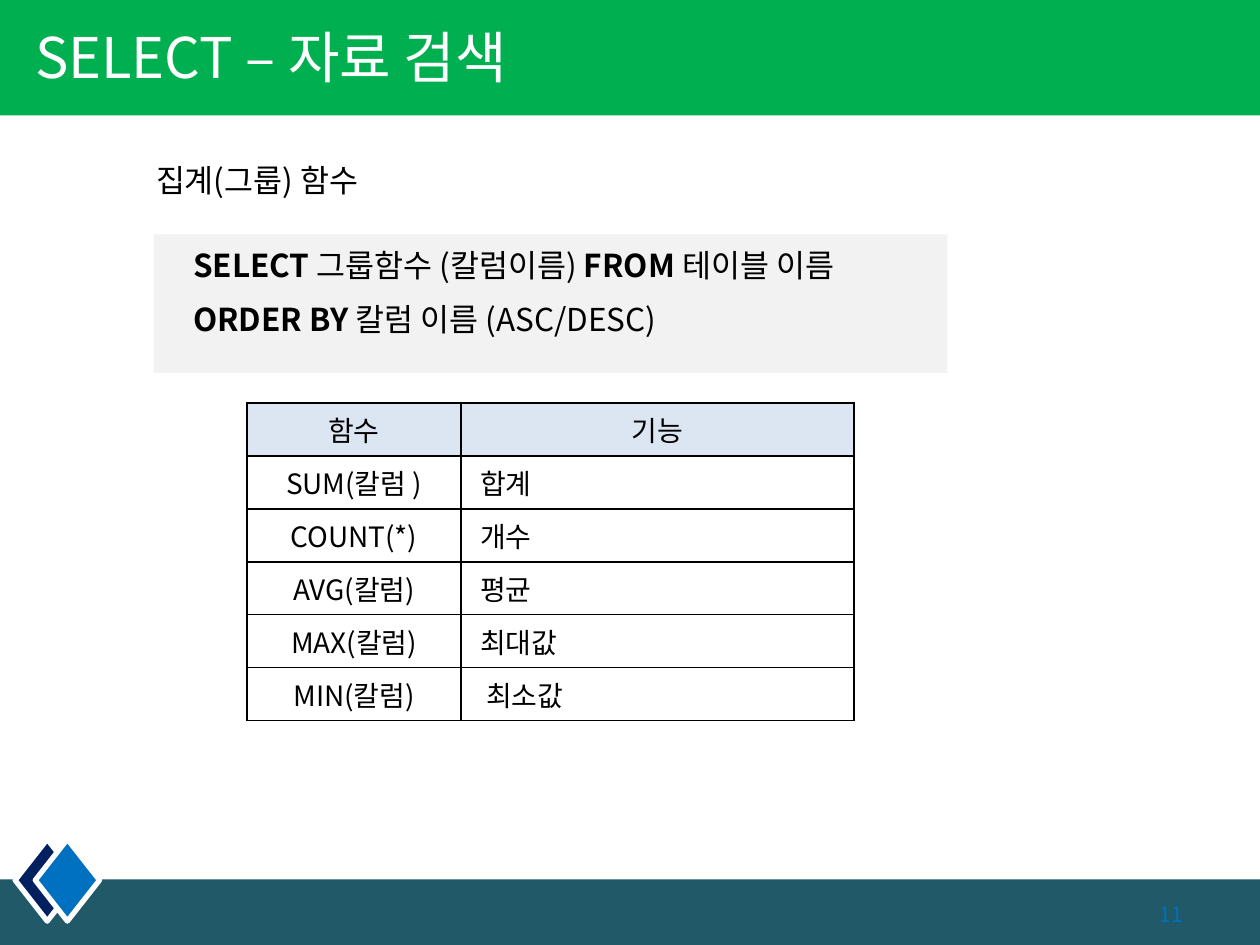
from lxml import etree
from pptx import Presentation
from pptx.dml.color import RGBColor
from pptx.enum.shapes import MSO_SHAPE
from pptx.enum.text import MSO_ANCHOR, PP_ALIGN
from pptx.oxml.ns import qn
from pptx.util import Pt

RECT, DIAMOND = MSO_SHAPE.RECTANGLE, MSO_SHAPE.DIAMOND
TOP, MIDDLE = MSO_ANCHOR.TOP, MSO_ANCHOR.MIDDLE
LEFT, CENTER, RIGHT = PP_ALIGN.LEFT, PP_ALIGN.CENTER, PP_ALIGN.RIGHT
FONT = "Noto Sans CJK KR"
BLACK, WHITE, BLUE = "000000", "FFFFFF", "0070C0"

QUERY = [
    [("SELECT ", True), ("그룹함수 (칼럼이름) ", False),
     ("FROM ", True), ("테이블 이름", False)],
    [("ORDER BY ", True), ("칼럼 이름 (ASC/DESC)", False)],
]
FUNCTIONS = [
    ("함수", "기능"),
    ("SUM(칼럼 )", "합계"),
    ("COUNT(*)", "개수"),
    ("AVG(칼럼)", "평균"),
    ("MAX(칼럼)", "최대값"),
    ("MIN(칼럼)", "최소값"),
]


def rgb(color):
    return RGBColor.from_string(color)


def add_run(p, text, size, color=BLACK, bold=False):
    r = p.add_run()
    r.text = text
    r.font.size = Pt(size)
    r.font.bold = bold
    r.font.color.rgb = rgb(color)
    r.font.name = FONT
    etree.SubElement(r.font._element, qn("a:ea")).set("typeface", FONT)


def add_block(s, kind, box, fill, line=None):
    sp = s.shapes.add_shape(kind, *map(Pt, box))
    sp.shadow.inherit = False
    sp.fill.solid()
    sp.fill.fore_color.rgb = rgb(fill)
    if line:
        sp.line.color.rgb = rgb(line)
        sp.line.width = Pt(3)
    else:
        sp.line.fill.background()
    return sp


def add_label(s, box, text, size, color=BLACK, align=LEFT):
    tf = s.shapes.add_textbox(*map(Pt, box)).text_frame
    tf.word_wrap = True
    tf.vertical_anchor = MIDDLE
    p = tf.paragraphs[0]
    p.alignment = align
    add_run(p, text, size, color)


def add_footer(s, box, number):
    x, y, w, h = box
    add_block(s, RECT, box, "215968")
    for dx, fill in ((8.64, "002060"), (20.16, BLUE)):
        add_block(s, DIAMOND, (x + dx, y - 23, 36.7, 46.8), fill, WHITE)
    add_label(s, (x + w - 117, y + 9, 80, 22), number, 12, BLUE, RIGHT)


def add_header(s, box, text):
    add_block(s, RECT, box, "00B050")
    x, y, w, h = box
    title = s.shapes.title
    title.left, title.top, title.width, title.height = map(
        Pt, (x, y - 1.44, 450.72, h + 1.44))
    title.element.getparent().append(title.element)  # in front of the band
    tf = title.text_frame
    tf.margin_left = Pt(20)
    tf.vertical_anchor = MIDDLE
    p = tf.paragraphs[0]
    p.alignment = LEFT
    add_run(p, text, 32, WHITE)


def add_query(s, box, lines):
    tf = add_block(s, RECT, box, "F2F2F2").text_frame
    tf.word_wrap = True
    tf.vertical_anchor = TOP
    tf.margin_left, tf.margin_top = Pt(22.5), Pt(1.4)
    for i, runs in enumerate(lines):
        p = tf.add_paragraph() if i else tf.paragraphs[0]
        p.alignment = LEFT
        p.line_spacing = 1.25
        p.space_before = Pt(3.6)
        for text, bold in runs:
            add_run(p, text, 18, bold=bold)


def set_borders(cell):
    pr = cell._tc.get_or_add_tcPr()
    for i, side in enumerate(("lnL", "lnR", "lnT", "lnB")):
        ln = etree.Element(qn("a:" + side), w=str(Pt(1)))
        fill = etree.SubElement(ln, qn("a:solidFill"))
        etree.SubElement(fill, qn("a:srgbClr"), val=BLACK)
        pr.insert(i, ln)


def add_function_table(s, box, rows):
    x, y, w, h = box
    table = s.shapes.add_table(len(rows), 2, *map(Pt, box)).table
    for column, width in zip(table.columns, (122.4, w - 122.4)):
        column.width = Pt(width)
    for i, texts in enumerate(rows):
        table.rows[i].height = Pt(h / len(rows))
        for j, text in enumerate(texts):
            cell = table.cell(i, j)
            cell.fill.solid()
            cell.fill.fore_color.rgb = rgb(WHITE if i else "DCE6F2")
            cell.vertical_anchor = MIDDLE
            p = cell.text_frame.paragraphs[0]
            p.alignment = LEFT if i and j else CENTER
            if i and j:
                cell.margin_left = Pt(14.4 if i == len(rows) - 1 else 10.8)
            add_run(p, text, 16)
            set_borders(cell)


def main():
    prs = Presentation()
    prs.slide_width, prs.slide_height = Pt(720), Pt(540)
    s = prs.slides.add_slide(prs.slide_layouts[5])
    add_footer(s, (0, 502.56, 720, 37.44), "11")
    add_header(s, (0, 0, 720, 66), "SELECT – 자료 검색")
    add_label(s, (82.08, 88.56, 175.68, 28.8), "집계(그룹) 함수", 18)
    add_query(s, (87.84, 133.92, 453.6, 79.2), QUERY)
    add_function_table(s, (141.12, 230.4, 347.04, 181.44), FUNCTIONS)
    prs.save("out.pptx")


if __name__ == "__main__":
    main()
